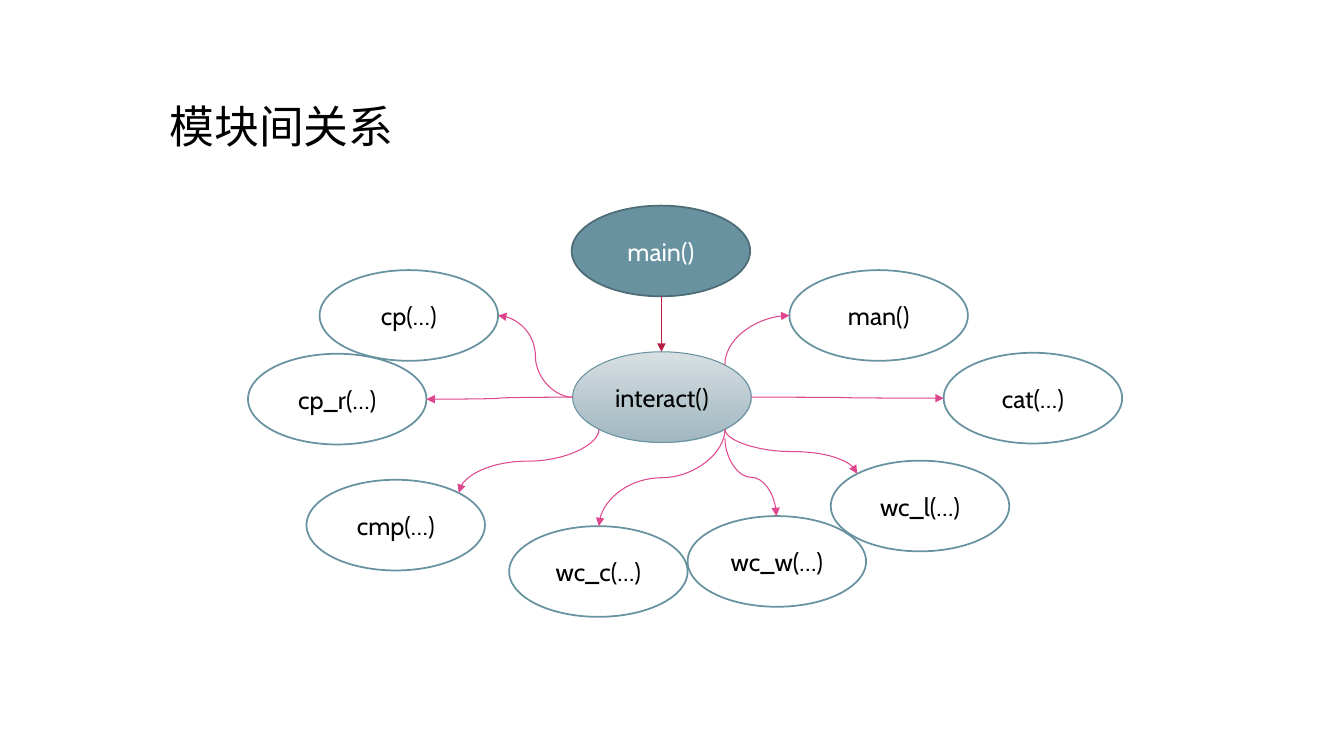
from math import sqrt

from lxml.etree import SubElement
from pptx import Presentation
from pptx.dml.color import RGBColor
from pptx.enum.shapes import MSO_CONNECTOR, MSO_SHAPE
from pptx.enum.text import MSO_ANCHOR, PP_ALIGN
from pptx.oxml.ns import qn
from pptx.util import Pt

PX = 9144  # EMU per px, 100 px to the inch
OVAL_W, OVAL_H = 177, 90

# Compass sites on an oval, as directions from its centre
DIAGONAL = 1 / sqrt(2)
SITES = {
    "top": (0, -1), "bottom": (0, 1), "left": (-1, 0), "right": (1, 0),
    "top_left": (-DIAGONAL, -DIAGONAL), "top_right": (DIAGONAL, -DIAGONAL),
    "bottom_left": (-DIAGONAL, DIAGONAL), "bottom_right": (DIAGONAL, DIAGONAL),
}

# Module: left, top
MODULES = {
    "main()": (567, 204),
    "interact()": (568, 349),
    "cp(…)": (317, 268),
    "man()": (783, 268),
    "cp_r(…)": (246, 351),
    "cmp(…)": (304, 476),
    "wc_c(…)": (505, 522),
    "wc_w(…)": (682, 512),
    "wc_l(…)": (824, 457),
    "cat(…)": (936, 350),
}

# Called module: site on interact(), site on the module, turn of the curve, drop of its start
CALLS = {
    "cp(…)": ("left", "right", 180, 0),
    "cmp(…)": ("bottom_left", "top_right", 90, 0),
    "cp_r(…)": ("left", "right", 180, 0),
    "cat(…)": ("right", "left", 0, 0),
    "wc_c(…)": ("bottom_right", "top", 90, 0),
    "wc_w(…)": ("bottom_right", "top", 270, 9),
    "wc_l(…)": ("bottom_right", "top_left", 270, 0),
    "man()": ("top_right", "left", 90, 0),
}


def colour(value):
    return RGBColor.from_string(value)


def apply(target, values):
    for name, value in values.items():
        setattr(target, name, value)


def site(module, name):
    left, top = MODULES[module]
    across, down = SITES[name]
    return (round(left + OVAL_W / 2 * (1 + across)),
            round(top + OVAL_H / 2 * (1 + down)))


class Diagram:
    font = "Cabin"
    ink, paper = "000000", "FFFFFF"
    teal, teal_dark = "6892A0", "4D6C76"
    red, pink = "B71E42", "DE478E"

    def __init__(self, width, height):
        self.deck = Presentation()
        apply(self.deck, {"slide_width": width * PX, "slide_height": height * PX})
        self.slide = self.deck.slides.add_slide(self.deck.slide_layouts[5])

    def label(self, frame, words, size, ink, align, anchor):
        apply(frame, {"text": words, "word_wrap": True, "vertical_anchor": anchor})
        paragraph = frame.paragraphs[0]
        paragraph.alignment = align
        font = paragraph.runs[0].font
        apply(font, {"name": self.font, "size": Pt(size)})
        font.color.rgb = colour(ink)
        return paragraph

    def title(self, words, left, top, width, height):
        heading = self.slide.shapes.title
        apply(heading, {"left": left * PX, "top": top * PX,
                        "width": width * PX, "height": height * PX})
        paragraph = self.label(heading.text_frame, words, 32, self.ink,
                               PP_ALIGN.LEFT, MSO_ANCHOR.TOP)
        paragraph.line_spacing = 0.9

    def oval(self, words, fill=paper, edge=teal, weight=1.25, ink=ink):
        left, top = MODULES[words]
        oval = self.slide.shapes.add_shape(
            MSO_SHAPE.OVAL, left * PX, top * PX, OVAL_W * PX, OVAL_H * PX)
        oval.shadow.inherit = False
        oval.fill.solid()
        oval.fill.fore_color.rgb = colour(fill)
        oval.line.color.rgb = colour(edge)
        oval.line.width = Pt(weight)
        self.label(oval.text_frame, words, 18, ink, PP_ALIGN.CENTER, MSO_ANCHOR.MIDDLE)
        return oval

    def shade(self, oval, upper, lower, opacity):
        oval.fill.gradient()
        oval.fill.gradient_angle = 270
        for stop, value in zip(oval.fill.gradient_stops, (upper, lower)):
            stop.color.rgb = colour(value)
        gradient = oval._element.spPr.find(qn("a:gradFill"))
        last = gradient.findall(".//" + qn("a:srgbClr"))[-1]
        SubElement(last, qn("a:alpha"), val=str(opacity * 1000))

    def arrow(self, begin, end, ink, kind=MSO_CONNECTOR.CURVE, turn=0):
        (x1, y1), (x2, y2) = begin, end
        dx, dy = x2 - x1, y2 - y1
        # The box is laid out before it is turned about its centre
        w, h = {0: (dx, dy), 90: (dy, -dx), 180: (-dx, -dy), 270: (-dy, dx)}[turn]
        corners = [round((middle + sign * span / 2) * PX) for sign in (-1, 1)
                   for middle, span in (((x1 + x2) / 2, w), ((y1 + y2) / 2, h))]
        arrow = self.slide.shapes.add_connector(kind, *corners)
        arrow.line.color.rgb = colour(ink)
        arrow.line.width = Pt(0.75)
        properties = arrow._element.spPr
        if turn:
            properties.find(qn("a:xfrm")).set("rot", str(turn * 60000))
        SubElement(properties.find(qn("a:ln")), qn("a:tailEnd"), type="triangle")
        SubElement(properties, qn("a:effectLst"))
        return arrow

    def save(self):
        self.deck.save("out.pptx")


def main():
    diagram = Diagram(1333, 750)
    diagram.title("模块间关系", 158, 99, 1050, 88)

    # Modules
    special = {
        "main()": {"fill": diagram.teal, "edge": diagram.teal_dark, "ink": diagram.paper},
        "interact()": {"weight": 0.75},
    }
    ovals = {name: diagram.oval(name, **special.get(name, {})) for name in MODULES}
    diagram.shade(ovals["interact()"], "D9E1E4", "9AB2BC", 92)

    # Calls between modules
    diagram.arrow(site("main()", "bottom"), site("interact()", "top"),
                  diagram.red, MSO_CONNECTOR.STRAIGHT)
    for module, (start, finish, turn, drop) in CALLS.items():
        x, y = site("interact()", start)
        call = diagram.arrow((x, y + drop), site(module, finish), diagram.pink, turn=turn)
        if module == "man()":  # a single bend, up then right
            call._element.spPr.find(qn("a:prstGeom")).set("prst", "curvedConnector2")

    diagram.save()


if __name__ == "__main__":
    main()
